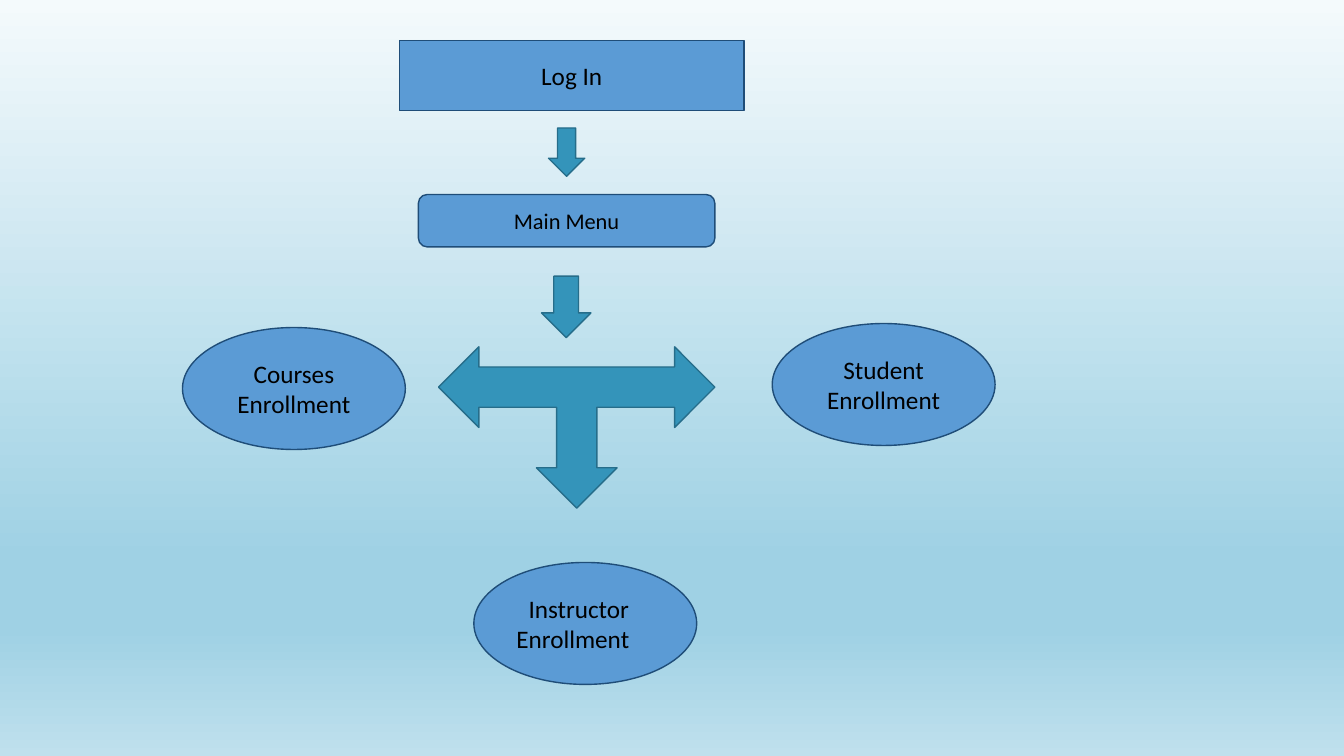
import copy
import pptx
import pptx.util
import pptx.dml.color
import pptx.enum.shapes
import pptx.enum.text
import pptx.oxml.ns

Shape = pptx.enum.shapes.MSO_SHAPE
Align = pptx.enum.text.PP_ALIGN
Pt = pptx.util.Pt


def color(code):
    return pptx.dml.color.RGBColor.from_string(code)


deck = pptx.Presentation()
deck.slide_width = pptx.util.Inches(13.33)
deck.slide_height = pptx.util.Inches(7.5)
slide = deck.slides.add_slide(deck.slide_layouts[6])

# Background: vertical gradient with four stops
sky = [(0, "F4FAFC"), (0.74, "9FD1E4"), (0.83, "9FD1E4"), (1, "BFE0ED")]
back = slide.background.fill
back.gradient()
back.gradient_angle = 270
stops = slide.element.find(".//" + pptx.oxml.ns.qn("a:gsLst"))
while len(stops) < len(sky):
    stops.append(copy.deepcopy(stops[0]))
for stop, (place, code) in zip(back.gradient_stops, sky):
    stop.position = place
    stop.color.rgb = color(code)

# Each part: preset, left, top, width, height (percent of slide), text lines
oval = (16.58, 16.13)
parts = [
    (Shape.OVAL, 13.58, 43.33, *oval, ["Courses", "Enrollment"]),
    (Shape.OVAL, 57.46, 42.8, *oval, ["Student Enrollment"]),
    (Shape.OVAL, 35.26, 74.4, *oval, ["Instructor", "Enrollment"]),
    (Shape.RECTANGLE, 29.71, 5.33, 25.66, 9.33, ["Log In"]),
    (Shape.DOWN_ARROW, 40.81, 16.93, 2.7, 6.4, []),
    (Shape.ROUNDED_RECTANGLE, 31.13, 25.73, 22.06, 6.93, ["Main Menu"]),
    (Shape.LEFT_RIGHT_UP_ARROW, 32.63, 45.87, 20.56, 21.33, []),
    (Shape.DOWN_ARROW, 40.29, 36.53, 3.68, 8.13, []),
]

for kind, left, top, width, height, lines in parts:
    part = slide.shapes.add_shape(
        kind,
        round(deck.slide_width * left / 100),
        round(deck.slide_height * top / 100),
        round(deck.slide_width * width / 100),
        round(deck.slide_height * height / 100),
    )
    part.shadow.inherit = False
    part.fill.solid()
    part.fill.fore_color.rgb = color("5B9BD5" if lines else "3494BA")
    part.line.color.rgb = color("1F4D78" if lines else "266D8A")
    part.line.width = Pt(1)
    if kind == Shape.LEFT_RIGHT_UP_ARROW:
        part.rotation = 180

    frame = part.text_frame
    frame.word_wrap = True
    frame.vertical_anchor = pptx.enum.text.MSO_ANCHOR.MIDDLE
    frame.text = "\n".join(lines)
    style = {"name": "Calibri", "size": Pt(16 if "Main Menu" in lines else 18)}
    for para in frame.paragraphs:
        para.alignment = Align.LEFT if "Instructor" in lines else Align.CENTER
        if para.text == "Instructor":
            para._p.get_or_add_pPr().set("indent", str(pptx.util.Inches(0.12)))
        for run in para.runs:
            for key, value in style.items():
                setattr(run.font, key, value)
            run.font.color.rgb = color("000000")

deck.save("out.pptx")
